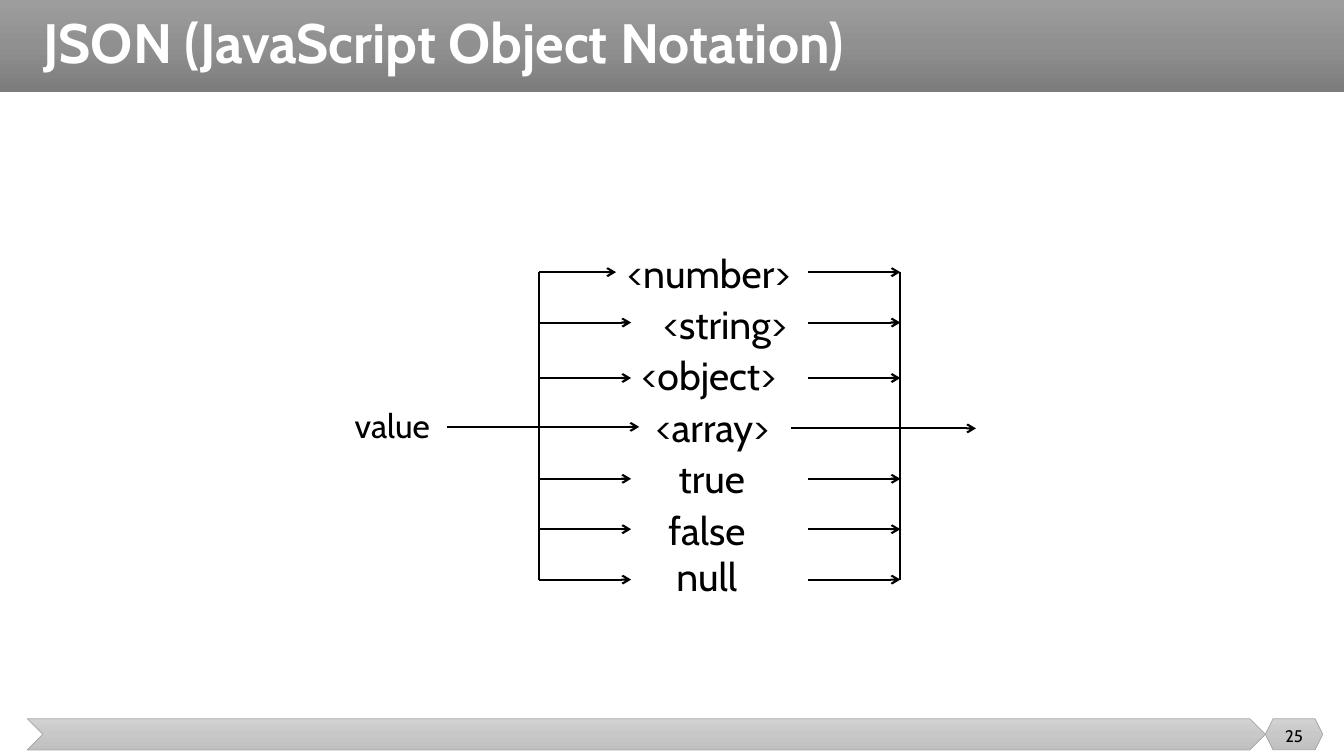
from copy import deepcopy
from dataclasses import dataclass

from lxml import etree
from pptx import Presentation
from pptx import util as u
from pptx.dml.color import RGBColor
from pptx.enum import shapes as es, text as et
from pptx.oxml.ns import qn

FONT = "Cabin"
HUES = {"ink": "000000", "white": "FFFFFF", "edge": "A5A5A5"}
HEAD = ("9D9D9D", "909090", "7C7C7C")
FOOT = ("D2D2D2", "C8C8C8", "C0C0C0")
KINDS = es.MSO_SHAPE
LEFT, RIGHT = 5.35, 8.93
ROWS = (2.7, 3.2, 3.75, 4.75, 5.25, 5.75)


@dataclass
class Band:
    kind: KINDS
    box: tuple
    fade: tuple
    edge: bool = True


@dataclass
class Label:
    text: str
    box: tuple
    size: float = 28
    align: et.PP_ALIGN = et.PP_ALIGN.CENTER
    hue: str = "ink"
    bold: bool = False
    wrap: bool = False
    space: float = 1


@dataclass
class Line:
    start: tuple
    end: tuple
    arrow: bool = True


BANDS = (
    Band(KINDS.RECTANGLE, (0, 0, 13.33, 0.91), HEAD, False),
    Band(KINDS.CHEVRON, (0.27, 7.13, 12.28, 0.31), FOOT),
    Band(KINDS.HEXAGON, (12.55, 7.13, 0.57, 0.31), FOOT),
)
ARRAY = "<array>"
TYPES = (
    ("<number>", 6.08, 2.42, 1.9),
    ("<string>", 6.42, 2.93, 1.54),
    ("<object>", 6.21, 3.44, 1.64),
    (ARRAY, 6.34, 3.95, 1.45),
    ("true", 6.61, 4.46, 0.9),
    ("false", 6.52, 4.97, 0.98),
    ("null", 6.59, 5.43, 0.84),
)
LABELS = (
    Label("25", (12.55, 7.1, 0.57, 0.4), 12, wrap=True),
    *(Label(name, (x, y, w, 0.57)) for name, x, y, w in TYPES),
    Label("value", (3.42, 3.97, 1.03, 0.5), 24, et.PP_ALIGN.LEFT),
    Label("JSON (JavaScript Object Notation)", (0.33, 0.11, 11.12, 0.68), 39.6,
          et.PP_ALIGN.LEFT, "white", True, True, 0.9),
)
INPUT = Line((4.43, 4.24), (6.34, 4.24))
LINES = (
    Line((7.85, 4.25), (9.68, 4.25)),
    *(Line((LEFT, y), (6.26 if n else 6.11, y)) for n, y in enumerate(ROWS)),
    *(Line((8.01, y), (RIGHT, y)) for y in ROWS),
    *(Line((x, ROWS[0]), (x, ROWS[-1]), False) for x in (LEFT, RIGHT)),
)


def color(hue: str) -> RGBColor:
    return RGBColor.from_string(HUES[hue])


def place(nums: tuple) -> list:
    return [u.Inches(n) for n in nums]


def draw_band(slide, band: Band) -> None:
    shape = slide.shapes.add_shape(band.kind, *place(band.box))
    shape.shadow.inherit = False
    shape.fill.gradient()
    shape.fill.gradient_angle = 270
    stops = shape._element.spPr.find(".//" + qn("a:gsLst"))
    stops.append(deepcopy(stops[-1]))
    for n, (stop, tone) in enumerate(zip(shape.fill.gradient_stops, band.fade)):
        stop.position = n / 2
        stop.color.rgb = RGBColor.from_string(tone)
    if band.edge:
        shape.line.color.rgb = color("edge")
        shape.line.width = u.Pt(0.5)
    else:
        shape.line.fill.background()


def draw_label(slide, label: Label):
    box = slide.shapes.add_textbox(*place(label.box))
    frame = box.text_frame
    frame.text = label.text
    frame.word_wrap = label.wrap
    if label.wrap:
        frame.vertical_anchor = et.MSO_ANCHOR.MIDDLE
    else:
        frame.auto_size = et.MSO_AUTO_SIZE.SHAPE_TO_FIT_TEXT
    para = frame.paragraphs[0]
    para.alignment = label.align
    para.line_spacing = label.space
    font = para.runs[0].font
    font.name = FONT
    font.size = u.Pt(label.size)
    font.bold = label.bold
    font.color.rgb = color(label.hue)
    return box


def draw_line(slide, line: Line):
    link = slide.shapes.add_connector(
        es.MSO_CONNECTOR.STRAIGHT, *place(line.start + line.end))
    link.line.color.rgb = color("ink")
    link.line.width = u.Pt(1.5)
    if line.arrow:
        etree.SubElement(link.line._get_or_add_ln(), qn("a:tailEnd"), type="arrow")
    etree.SubElement(link._element.spPr, qn("a:effectLst"))
    return link


def main() -> None:
    deck = Presentation()
    deck.slide_width, deck.slide_height = place((13.33, 7.5))
    slide = deck.slides.add_slide(deck.slide_layouts[6])
    for band in BANDS:
        draw_band(slide, band)
    boxes = {label.text: draw_label(slide, label) for label in LABELS}
    entry = draw_line(slide, INPUT)
    entry.end_connect(boxes[ARRAY], 1)
    entry.begin_y = entry.end_y
    for line in LINES:
        draw_line(slide, line)
    deck.save("out.pptx")


if __name__ == "__main__":
    main()
